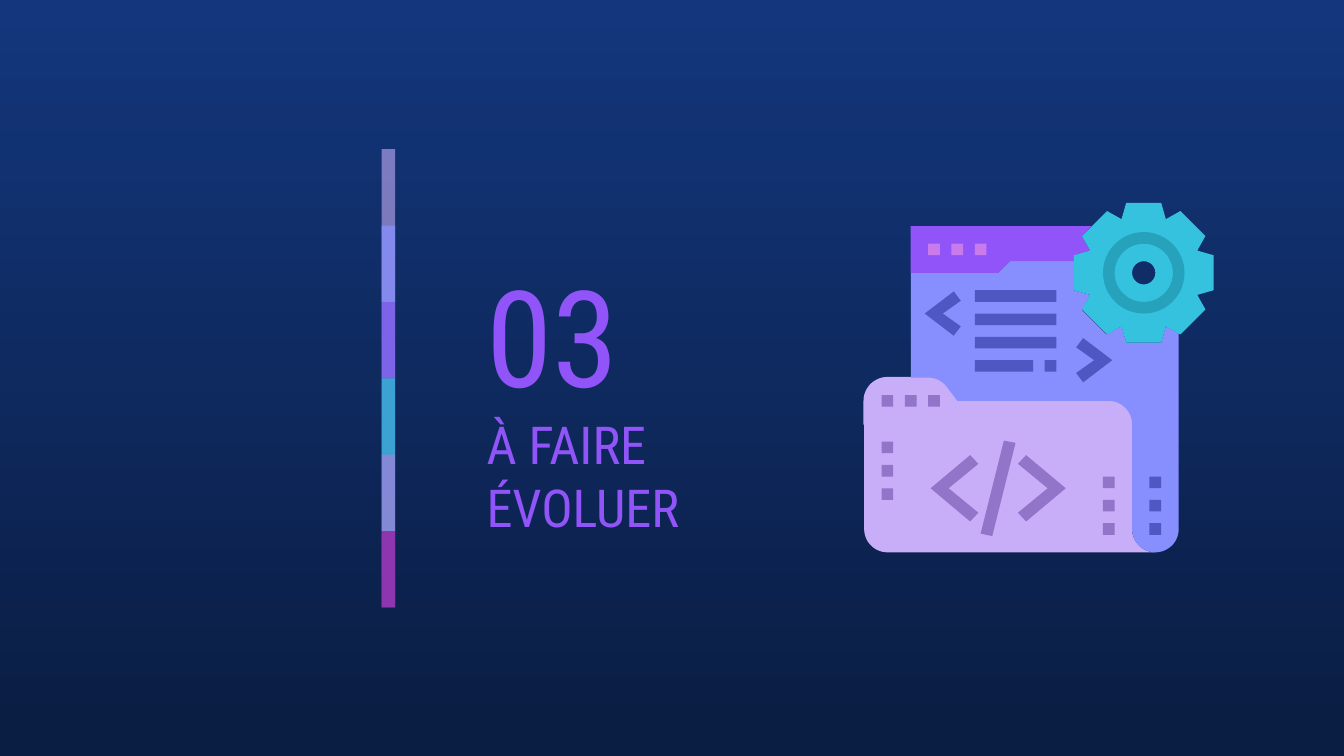
from math import cos, radians, sin

from lxml.etree import SubElement
from pptx import Presentation
from pptx.dml.color import RGBColor as RGB
from pptx.enum.shapes import MSO_SHAPE as Shape
from pptx.enum.text import MSO_ANCHOR as Anchor, PP_ALIGN as Align
from pptx.oxml.ns import qn
from pptx.util import Inches, Pt

HEX = {
    "top": "13367C", "base": "0A1D42", "violet": "9154F8", "lilac": "C8AEF8",
    "blue": "878FFF", "cyan": "35C2DF", "teal": "26A2BC", "pink": "CA7BEB",
    "plum": "972CB4", "mauve": "9275C8", "indigo": "4F57C3",
}
BANDS = [("lilac", 59), ("blue", 74), ("violet", 53),
         ("cyan", 76), ("pink", 56), ("plum", 74)]
FRAME = {"word_wrap": True, "vertical_anchor": Anchor.MIDDLE,
         "margin_left": Inches(0.1), "margin_right": Inches(0.1),
         "margin_top": Inches(0.1), "margin_bottom": Inches(0.1)}


def tint(name):
    """Return the named colour."""
    return RGB.from_string(HEX[name])


def paint(shape, name, alpha=100):
    """Give a shape a flat fill with no line or shadow."""
    shape.shadow.inherit = False
    shape.fill.solid()
    shape.fill.fore_color.rgb = tint(name)
    shape.line.fill.background()
    if alpha < 100:
        node = shape.fill._xPr.find(".//" + qn("a:srgbClr"))
        SubElement(node, qn("a:alpha"), val=str(alpha * 1000))
    return shape


def write(shape, box, text, size):
    """Place a text shape in its box and format its one line of text."""
    for key, value in zip(("left", "top", "width", "height"), box):
        setattr(shape, key, Inches(value))
    frame = shape.text_frame
    for key, value in FRAME.items():
        setattr(frame, key, value)
    frame.text = text
    para = frame.paragraphs[0]
    para.alignment = Align.LEFT
    for key, value in {"name": "Roboto Condensed", "size": Pt(size), "bold": False}.items():
        setattr(para.runs[0].font, key, value)
    para.runs[0].font.color.rgb = tint("violet")


def arc(x, y, r, start, end):
    """Return points along a circle, with angles clockwise from the right."""
    count = max(12, abs(end - start) // 6)
    turns = [radians(start + (end - start) * i / count) for i in range(count + 1)]
    return [(x + r * cos(t), y + r * sin(t)) for t in turns]


def stripe(slide, left, top, width, height):
    """Stack the overlapping bands of the upright stripe."""
    group = slide.shapes.add_group_shape()
    step = height / len(BANDS)
    for i, (name, alpha) in enumerate(BANDS):
        tall = step if i == len(BANDS) - 1 else 2 * step
        band = group.shapes.add_shape(Shape.RECTANGLE, Inches(left), Inches(top + i * step),
                                      Inches(width), Inches(tall))
        paint(band, name, alpha)


def icon(slide, left, top, size):
    """Draw the code folder and gear on a grid of 30 units."""
    group = slide.shapes.add_group_shape()
    unit = size / 30

    def spot(x, y):
        """Turn a grid point into slide lengths."""
        return Inches(left + x * unit), Inches(top + y * unit)

    def form(name, *rings):
        """Draw a closed outline with any holes."""
        rings = [[spot(*p) for p in ring] for ring in rings]
        pen = group.shapes.build_freeform(*rings[0][0], scale=1.0)
        for i, ring in enumerate(rings):
            if i:
                pen.move_to(*ring[0])
            pen.add_line_segments(ring[1:], close=True)
        return paint(pen.convert_to_shape(), name)

    def preset(kind, name, x, y, w, h):
        """Draw a preset shape in a grid box."""
        span = Inches(w * unit), Inches(h * unit)
        return paint(group.shapes.add_shape(kind, *spot(x, y), *span), name)

    def donut(name, x, y, outer, inner):
        """Draw a ring round a grid point."""
        ring = preset(Shape.DONUT, name, x - outer, y - outer, 2 * outer, 2 * outer)
        ring.adjustments[0] = (outer - inner) / (2 * outer)

    def angle(name, x, y, way, outer, inner, notch):
        """Draw an angle bracket from its tip, opening right or left."""
        (a, b), (c, d) = outer, inner
        ends = [(0, 0), (a, -b), (c, -d), (notch, 0), (c, d), (a, b)]
        form(name, [(x + way * p, y + q) for p, q in ends])

    fold = arc(25, 28, 2, 90, 180)
    curve = arc(21, 19, 2, 0, -90)
    tab = arc(5.5, 17, 2, -90, -35) + [(8, 17)]
    form("lilac", [(0, 19)] + arc(2, 28, 2, 180, 90) + fold + [(23, 19)])
    back = form("lilac", arc(2, 17, 2, 270, 180) + [(0, 19)] + curve + tab[::-1])
    back.line.color.rgb = tint("lilac")
    back.line.width = Pt(0.75)
    edge = [(27, 11.2), (25.9, 10.6), (25.5, 12), (22.5, 12), (22.1, 10.6), (20.8, 11.3),
            (18.7, 9.2), (19.4, 7.9), (18, 7.5), (18, 5)]
    form("blue", [(12.5, 5), (11.5, 6), (4, 6), (4, 15)] + tab + curve[::-1]
         + fold[::-1] + arc(25, 28, 2, 90, 0) + edge)
    form("violet", [(4, 2), (4, 6), (11.5, 6), (12.5, 5), (18, 5), (18, 4.5),
                    (19.4, 4.1), (18.7, 2.85), (19.5, 2)])

    donut("cyan", 24, 6, 3, 1)
    teeth = [(1.5, -6), (1.9, -4.6), (3.15, -5.3), (5.3, -3.15), (4.6, -1.9), (6, -1.5)]
    rim = []
    for _ in range(4):
        rim += [(24 + x, 6 + y) for x, y in teeth]
        teeth = [(-y, x) for x, y in teeth]
    form("cyan", rim, arc(24, 6, 3, 0, 360))
    donut("teal", 24, 6, 3.5, 2.5)

    for name, x, y, dx, dy in [("pink", 5.5, 3.5, 2, 0), ("mauve", 1.5, 16.5, 2, 0),
                               ("mauve", 1.5, 20.5, 0, 2), ("mauve", 20.5, 23.5, 0, 2),
                               ("indigo", 24.5, 23.5, 0, 2)]:
        for i in range(3):
            preset(Shape.RECTANGLE, name, x + i * dx, y + i * dy, 1, 1)
    for x, y, w in [(9.5, 7.5, 7), (9.5, 9.5, 7), (9.5, 11.5, 7), (9.5, 13.5, 5), (15.5, 13.5, 1)]:
        preset(Shape.RECTANGLE, "indigo", x, y, w, 1)
    for x, y, way in [(5.2, 9.5, 1), (21.3, 13.5, -1)]:
        angle("indigo", x, y, way, (2.5, 1.9), (3.1, 1.1), 1.55)
    for x, way in [(5.7, 1), (17.3, -1)]:
        angle("mauve", x, 24.5, way, (3.4, 2.85), (4.1, 2.1), 1.55)
    form("mauve", [(12, 20.4), (10, 28.4), (11, 28.6), (13, 20.6)])


def section(deck):
    """Build the section opener slide."""
    slide = deck.slides.add_slide(deck.slide_layouts[5])
    fill = slide.background.fill
    fill.gradient()
    fill.gradient_angle = 270
    for stop, name, place in zip(fill.gradient_stops, ("top", "base"), (0, 1)):
        stop.color.rgb = tint(name)
        stop.position = place
    stripe(slide, 2.84, 1.11, 0.1, 3.41)
    box = (3.52, 1.81, 1.75, 1.35)
    write(slide.shapes.add_textbox(*map(Inches, box)), box, "03", 72)
    write(slide.shapes.title, (3.52, 3.2, 2.35, 0.67), "À FAIRE ÉVOLUER", 28)
    icon(slide, 6.43, 1.51, 2.6)


def main():
    """Make the deck and save it."""
    deck = Presentation()
    deck.slide_width = Inches(10)
    deck.slide_height = deck.slide_width * 9 // 16
    section(deck)
    deck.save("out.pptx")


if __name__ == "__main__":
    main()
